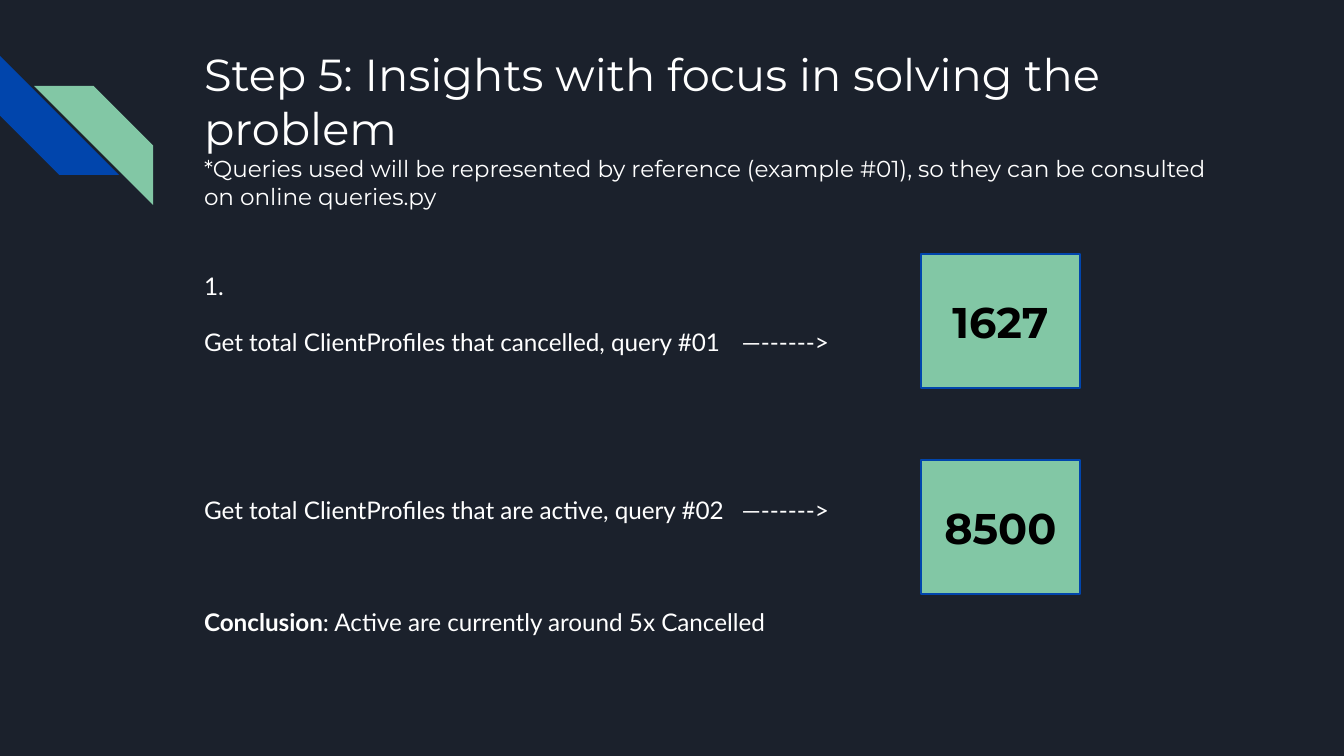
from dataclasses import dataclass

from lxml.etree import SubElement
from pptx import Presentation
from pptx.dml.color import RGBColor
from pptx.enum.shapes import MSO_SHAPE
from pptx.enum.text import MSO_ANCHOR, MSO_AUTO_SIZE, PP_ALIGN
from pptx.oxml.ns import qn
from pptx.util import Emu, Pt

COLORS = {"night": "1B212C", "blue": "0145AC", "green": "82C7A5",
          "white": "FFFFFF", "black": "000000"}
HEADING_FONT, BODY_FONT = "Montserrat", "Lato"
EMU_PER_PX = 9144000 / 1344


@dataclass
class Stripe:
    left: int
    top: int
    rotation: int
    color: str


@dataclass
class ResultBox:
    top: int
    value: str


@dataclass
class Line:
    """A body line: text pieces with bold flags, space before, tab stop."""
    pieces: list[tuple[str, bool]]
    before: int = 12
    tab: int = 0


STRIPES = [Stripe(0, 56, 270, "blue"), Stripe(34, 86, 90, "green")]
RESULTS = [ResultBox(254, "1627"), ResultBox(460, "8500")]
TITLE = [
    ("Step 5: Insights with focus in solving the problem", 24),
    ("*Queries used will be represented by reference (example #01), "
     "so they can be consulted on online queries.py", 12.4),
]
BODY = [
    Line([("1.", False)], before=0),
    Line([("Get total ClientProfiles that cancelled, query #01\t—------>", False)],
         tab=591),
    Line([("Get total ClientProfiles that are active, query #02\t—------>", False)],
         before=72, tab=582),
    Line([("Conclusion", True), (": Active are currently around 5x Cancelled", False)],
         before=42),
]


def px(length: int) -> Emu:
    return Emu(round(length * EMU_PER_PX))


def rgb(name: str) -> RGBColor:
    return RGBColor.from_string(COLORS[name])


def place(shape, left: int, top: int, width: int, height: int) -> None:
    shape.left, shape.top = px(left), px(top)
    shape.width, shape.height = px(width), px(height)


def set_frame(frame, anchor: MSO_ANCHOR) -> None:
    frame.word_wrap = True
    frame.auto_size = MSO_AUTO_SIZE.NONE
    frame.vertical_anchor = anchor
    frame.margin_left = frame.margin_right = px(13)
    frame.margin_top = frame.margin_bottom = px(13)


def add_span(para, text: str, font: str, size: float, color: str,
             bold: bool = False) -> None:
    span = para.add_run()
    span.text = text
    span.font.name = font
    span.font.size = Pt(size)
    span.font.bold = bold
    span.font.color.rgb = rgb(color)


def get_paragraph(frame, index: int):
    return frame.add_paragraph() if index else frame.paragraphs[0]


def add_stripe(page, stripe: Stripe) -> None:
    shape = page.shapes.add_shape(MSO_SHAPE.DIAGONAL_STRIPE, px(stripe.left),
                                  px(stripe.top), px(119), px(119))
    shape.rotation = stripe.rotation
    shape.shadow.inherit = False
    shape.fill.solid()
    shape.fill.fore_color.rgb = rgb(stripe.color)
    shape.line.fill.background()


def add_result(page, result: ResultBox) -> None:
    box = page.shapes.add_shape(MSO_SHAPE.RECTANGLE, px(921), px(result.top),
                                px(159), px(134))
    box.shadow.inherit = False
    box.fill.solid()
    box.fill.fore_color.rgb = rgb("green")
    box.line.color.rgb = rgb("blue")
    box.line.width = Pt(0.75)
    set_frame(box.text_frame, MSO_ANCHOR.MIDDLE)
    para = box.text_frame.paragraphs[0]
    para.alignment = PP_ALIGN.CENTER
    add_span(para, result.value, HEADING_FONT, 23, "black", bold=True)


def fill_title(title) -> None:
    place(title, 191, 34, 1035, 220)
    set_frame(title.text_frame, MSO_ANCHOR.TOP)
    for index, (text, size) in enumerate(TITLE):
        para = get_paragraph(title.text_frame, index)
        para.alignment = PP_ALIGN.LEFT
        add_span(para, text, HEADING_FONT, size, "white")


def fill_body(body) -> None:
    place(body, 191, 254, 1035, 405)
    set_frame(body.text_frame, MSO_ANCHOR.TOP)
    for index, line in enumerate(BODY):
        para = get_paragraph(body.text_frame, index)
        # No bullet or indent; a tab stop carries the arrow
        properties = para._p.get_or_add_pPr()
        properties.set("marL", "0")
        properties.set("indent", "0")
        SubElement(properties, qn("a:buNone"))
        if line.tab:
            tabs = SubElement(properties, qn("a:tabLst"))
            SubElement(tabs, qn("a:tab"), pos=str(px(line.tab)), algn="l")
        para.line_spacing = 1.15
        para.space_before = Pt(line.before)
        for text, bold in line.pieces:
            add_span(para, text, BODY_FONT, 13, "white", bold)


def main() -> None:
    deck = Presentation()
    deck.slide_width, deck.slide_height = px(1344), px(756)
    page = deck.slides.add_slide(deck.slide_layouts[1])
    page.background.fill.solid()
    page.background.fill.fore_color.rgb = rgb("night")

    # Corner decoration
    for stripe in STRIPES:
        add_stripe(page, stripe)

    # Title and query list
    fill_title(page.shapes.title)
    fill_body(page.placeholders[1])

    # Query results
    for result in RESULTS:
        add_result(page, result)

    deck.save("out.pptx")


if __name__ == "__main__":
    main()
